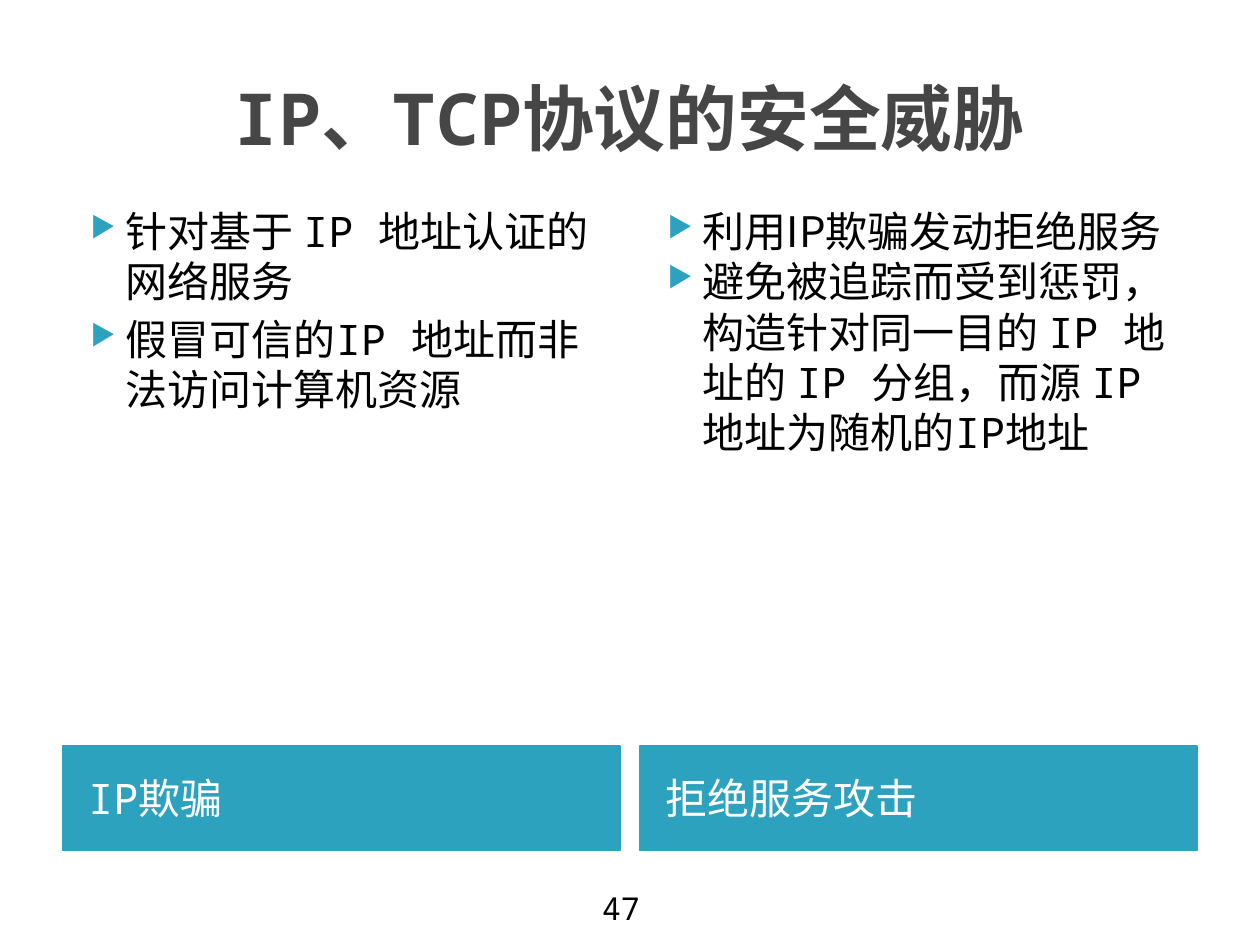
from lxml import etree
from pptx import Presentation
from pptx.dml.color import RGBColor
from pptx.enum.shapes import MSO_SHAPE
from pptx.enum.text import MSO_ANCHOR, MSO_AUTO_SIZE, PP_ALIGN
from pptx.oxml.ns import qn
from pptx.util import Inches, Pt

RECTANGLE = MSO_SHAPE.RECTANGLE
MIDDLE, TOP = MSO_ANCHOR.MIDDLE, MSO_ANCHOR.TOP
CENTER, LEFT = PP_ALIGN.CENTER, PP_ALIGN.LEFT
NO_FIT = MSO_AUTO_SIZE.NONE

COLORS = {"title": "464646", "accent": "2DA2BF", "text": "000000", "label": "FFFFFF"}
MONO, SANS = "Noto Sans Mono", "Noto Sans CJK SC"

# Grid of 100 columns by 75 rows; two text columns inside the margins
COLUMNS, ROWS = 100, 75
MARGIN, GUTTER = 5, 1.6
COLUMN_WIDTH = (COLUMNS - 2 * MARGIN - GUTTER) / 2
BODY_TOP, BODY_HEIGHT = 15.8, 43.1
LABEL_TOP, LABEL_HEIGHT = 59.2, 8.3

# Each topic: label, space between paragraphs, paragraphs of (wording, font) spans
TOPICS = [
    ("IP欺骗", 4, [
        [("针对基于 IP 地址认证的网络服务", MONO)],
        [("假冒可信的", SANS), ("IP ", MONO), ("地址而非法访问计算机资源", SANS)],
    ]),
    ("拒绝服务攻击", 0, [
        [("利用IP欺骗发动拒绝服务", SANS)],
        [("避免被追踪而受到惩罚，构造针对同一目的 ", SANS), ("IP ", MONO),
         ("地址的 ", SANS), ("IP ", MONO), ("分组，而源 ", SANS), ("IP ", MONO),
         ("地址为随机的", SANS), ("IP", MONO), ("地址", SANS)],
    ]),
]


class SlideBuilder:
    def __init__(self):
        self.deck = Presentation()
        self.deck.slide_width, self.deck.slide_height = Inches(10), Inches(7.5)
        self.page = self.deck.slides.add_slide(self.deck.slide_layouts[5])

    def area(self, left, top, width, height):
        across = self.deck.slide_width / COLUMNS
        down = self.deck.slide_height / ROWS
        return (round(left * across), round(top * down),
                round(width * across), round(height * down))

    def frame(self, shape, anchor, inset=0.1):
        frame = shape.text_frame
        frame.word_wrap = True
        frame.auto_size = NO_FIT
        frame.vertical_anchor = anchor
        frame.margin_left = Inches(inset)
        return frame

    def style(self, para, size, color, bold=False, align=LEFT):
        para.alignment = align
        para.font.size = Pt(size)
        para.font.bold = bold
        para.font.color.rgb = RGBColor.from_string(COLORS[color])

    def add_spans(self, para, spans):
        for wording, font in spans:
            span = para.add_run()
            span.text = wording
            span.font.name = font
            east_asian = etree.SubElement(span.font._element, qn("a:ea"))
            east_asian.set("typeface", SANS)

    def bullet(self, para):
        properties = para._p.get_or_add_pPr()
        properties.set("marL", str(Inches(0.4)))
        properties.set("indent", str(Inches(-0.28)))
        color = etree.SubElement(properties, qn("a:buClr"))
        etree.SubElement(color, qn("a:srgbClr")).set("val", COLORS["accent"])
        etree.SubElement(properties, qn("a:buSzPct")).set("val", "68000")
        etree.SubElement(properties, qn("a:buChar")).set("char", "▶")

    def title(self, wording, *place):
        box = self.page.shapes.title
        box.left, box.top, box.width, box.height = self.area(*place)
        para = self.frame(box, MIDDLE).paragraphs[0]
        self.style(para, 41, "title", bold=True, align=CENTER)
        self.add_spans(para, [(wording, MONO)])

    def label(self, wording, *place):
        box = self.page.shapes.add_shape(RECTANGLE, *self.area(*place))
        box.shadow.inherit = False
        accent = RGBColor.from_string(COLORS["accent"])
        box.fill.solid()
        box.fill.fore_color.rgb = accent
        box.line.color.rgb = accent
        box.line.width = Pt(0.75)
        para = self.frame(box, MIDDLE, inset=0.2).paragraphs[0]
        self.style(para, 24, "label")
        self.add_spans(para, [(wording, MONO)])

    def bullets(self, paragraphs, gap, *place):
        box = self.page.shapes.add_textbox(*self.area(*place))
        frame = self.frame(box, TOP)
        for index, spans in enumerate(paragraphs):
            para = frame.add_paragraph() if index else frame.paragraphs[0]
            self.bullet(para)
            para.space_before = Pt(gap if index else 0)
            self.style(para, 24, "text")
            self.add_spans(para, spans)

    def number(self, wording, *place):
        box = self.page.shapes.add_textbox(*self.area(*place))
        para = self.frame(box, TOP).paragraphs[0]
        self.style(para, 18, "text")
        self.add_spans(para, [(wording, MONO)])


def main():
    slide = SlideBuilder()
    slide.title("IP、TCP协议的安全威胁", MARGIN, 3, COLUMNS - 2 * MARGIN, 12.5)

    # Two columns: bullets above, label below
    for index, (name, gap, paragraphs) in enumerate(TOPICS):
        left = MARGIN + index * (COLUMN_WIDTH + GUTTER)
        slide.label(name, left, LABEL_TOP, COLUMN_WIDTH, LABEL_HEIGHT)
        slide.bullets(paragraphs, gap, left, BODY_TOP, COLUMN_WIDTH, BODY_HEIGHT)

    # Page number
    slide.number("47", 46.8, 70.1, 5.6, 4.9)
    slide.deck.save("out.pptx")


if __name__ == "__main__":
    main()
